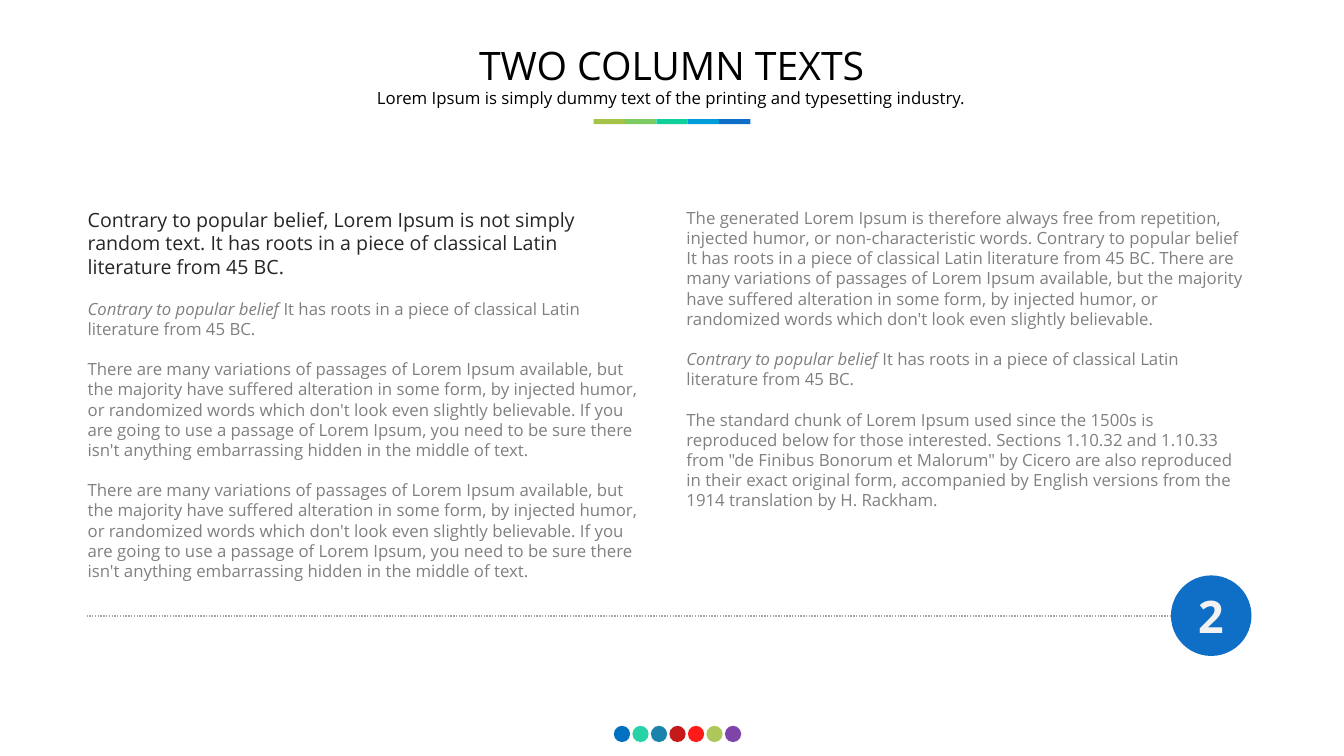
from pptx import Presentation
from pptx.dml.color import RGBColor
from pptx.enum.dml import MSO_LINE
from pptx.enum.shapes import MSO_CONNECTOR, MSO_SHAPE
from pptx.enum.text import MSO_ANCHOR, MSO_AUTO_SIZE, PP_ALIGN
from pptx.oxml.ns import qn
from pptx.util import Cm, Pt
from lxml.etree import SubElement

title = "TWO COLUMN TEXTS"
tagline = "Lorem Ipsum is simply dummy text of the printing and typesetting industry."
number = "2"
roots = [
    ("Contrary to popular belief ", "accent"),
    ("It has roots in a piece of classical Latin literature from 45 BC.", "body"),
]
many = [(
    "There are many variations of passages of Lorem Ipsum available, but the majority "
    "have suffered alteration in some form, by injected humor, or randomized words which "
    "don't look even slightly believable. If you are going to use a passage of Lorem Ipsum, "
    "you need to be sure there isn't anything embarrassing hidden in the middle of text.",
    "body",
)]
left = [
    [(
        "Contrary to popular belief, Lorem Ipsum is not simply random text. It has roots "
        "in a piece of classical Latin literature from 45 BC.",
        "lead",
    )],
    roots,
    many,
    many,
]
right = [
    [(
        "The generated Lorem Ipsum is therefore always free from repetition, injected humor, "
        "or non-characteristic words. Contrary to popular belief It has roots in a piece of "
        "classical Latin literature from 45 BC. There are many variations of passages of "
        "Lorem Ipsum available, but the majority have suffered alteration in some form, by "
        "injected humor, or randomized words which don't look even slightly believable.",
        "body",
    )],
    roots,
    [(
        "The standard chunk of Lorem Ipsum used since the 1500s is reproduced below for those "
        'interested. Sections 1.10.32 and 1.10.33 from "de Finibus Bonorum et Malorum" by '
        "Cicero are also reproduced in their exact original form, accompanied by English "
        "versions from the 1914 translation by H. Rackham.",
        "body",
    )],
]

theme = {
    "font": "Open Sans",
    "blue": "0F6FC6",
    "rule": "A6A6A6",
    "bars": ["A5C249", "7CCA62", "10CF9B", "009DD9", "0F6FC6"],
    "dots": ["0070C0", "10CF9B", "0076A3", "C00000", "FF0000", "A5C249", "7030A0"],
    "gap": Pt(14.4),
    "title": ("000000", {"size": Pt(28)}),
    "tag": ("000000", {"size": Pt(12)}),
    "lead": ("262626", {"size": Pt(14)}),
    "body": ("808080", {"size": Pt(12), "italic": False}),
    "accent": ("808080", {"size": Pt(12), "italic": True}),
    "number": ("F2F2F2", {"size": Pt(32), "bold": True}),
}


def assign(item, values):
    for name, value in values.items():
        setattr(item, name, value)


def place(item, x, y, w, h):
    assign(item, {"left": Cm(x), "top": Cm(y), "width": Cm(w), "height": Cm(h)})


def write(par, runs, align=PP_ALIGN.LEFT, before=0):
    assign(par, {"alignment": align, "space_before": before})
    for text, style in runs:
        run = par.add_run()
        run.text = text
        color, values = theme[style]
        assign(run.font, {"name": theme["font"], **values})
        run.font.color.rgb = RGBColor.from_string(color)


def add_text(slide, x, y, w, h, wrap=True):
    box = slide.shapes.add_textbox(Cm(x), Cm(y), Cm(w), Cm(h))
    assign(box.text_frame, {"word_wrap": wrap, "auto_size": MSO_AUTO_SIZE.NONE})
    return box.text_frame


def add_shape(slide, kind, color, x, y, w, h, alpha=100):
    shape = slide.shapes.add_shape(kind, Cm(x), Cm(y), Cm(w), Cm(h))
    shape.shadow.inherit = False
    shape.fill.solid()
    shape.fill.fore_color.rgb = RGBColor.from_string(color)
    shape.line.fill.background()
    if alpha < 100:
        tone = shape.fill._xPr.find(qn("a:solidFill"))[0]
        SubElement(tone, qn("a:alpha")).set("val", str(alpha * 1000))


def add_heading(slide):
    head = slide.shapes.title
    place(head, 6.88, 1.02, 20.09, 1.24)
    assign(head.text_frame, {
        "word_wrap": True,
        "auto_size": MSO_AUTO_SIZE.NONE,
        "vertical_anchor": MSO_ANCHOR.MIDDLE,
    })
    write(head.text_frame.paragraphs[0], [(title, "title")], PP_ALIGN.CENTER)
    frame = add_text(slide, 8.36, 2.08, 17.12, 0.76)
    write(frame.paragraphs[0], [(tagline, "tag")], PP_ALIGN.CENTER)
    for i, color in enumerate(theme["bars"]):
        add_shape(slide, MSO_SHAPE.RECTANGLE, color, 14.96 + i * 0.79, 3, 0.79, 0.13)


def add_columns(slide):
    frame = add_text(slide, 1.96, 5.11, 29.85, 9.78)
    assign(frame, {"margin_right": Cm(0.41), "margin_bottom": Cm(0.1)})
    body = frame._txBody.bodyPr
    body.set("numCol", "2")
    body.set("spcCol", str(Cm(0.99)))
    for side in (left, right):
        for i, runs in enumerate(side):
            first = side is left and i == 0
            par = frame.paragraphs[0] if first else frame.add_paragraph()
            write(par, runs, before=theme["gap"] if i else 0)


def add_footer(slide):
    rule = slide.shapes.add_connector(
        MSO_CONNECTOR.STRAIGHT, Cm(2.18), Cm(15.52), Cm(29.51), Cm(15.52))
    SubElement(rule._element.spPr, qn("a:effectLst"))
    rule.line.color.rgb = RGBColor.from_string(theme["rule"])
    assign(rule.line, {"width": Pt(1), "dash_style": MSO_LINE.ROUND_DOT})
    add_shape(slide, MSO_SHAPE.OVAL, theme["blue"], 29.51, 14.5, 2.03, 2.03)
    frame = add_text(slide, 30, 14.71, 1.04, 1.63, wrap=False)
    write(frame.paragraphs[0], [(number, "number")], PP_ALIGN.CENTER)
    step = 2.8 / (len(theme["dots"]) - 1)
    for i, color in enumerate(theme["dots"]):
        alpha = 90 if i else 100
        add_shape(slide, MSO_SHAPE.OVAL, color, 15.47 + i * step, 18.29, 0.41, 0.41, alpha)


def main():
    deck = Presentation()
    assign(deck, {"slide_width": Cm(33.87), "slide_height": Cm(19.05)})
    slide = deck.slides.add_slide(deck.slide_layouts[5])
    add_heading(slide)
    add_columns(slide)
    add_footer(slide)
    deck.save("out.pptx")


if __name__ == "__main__":
    main()
